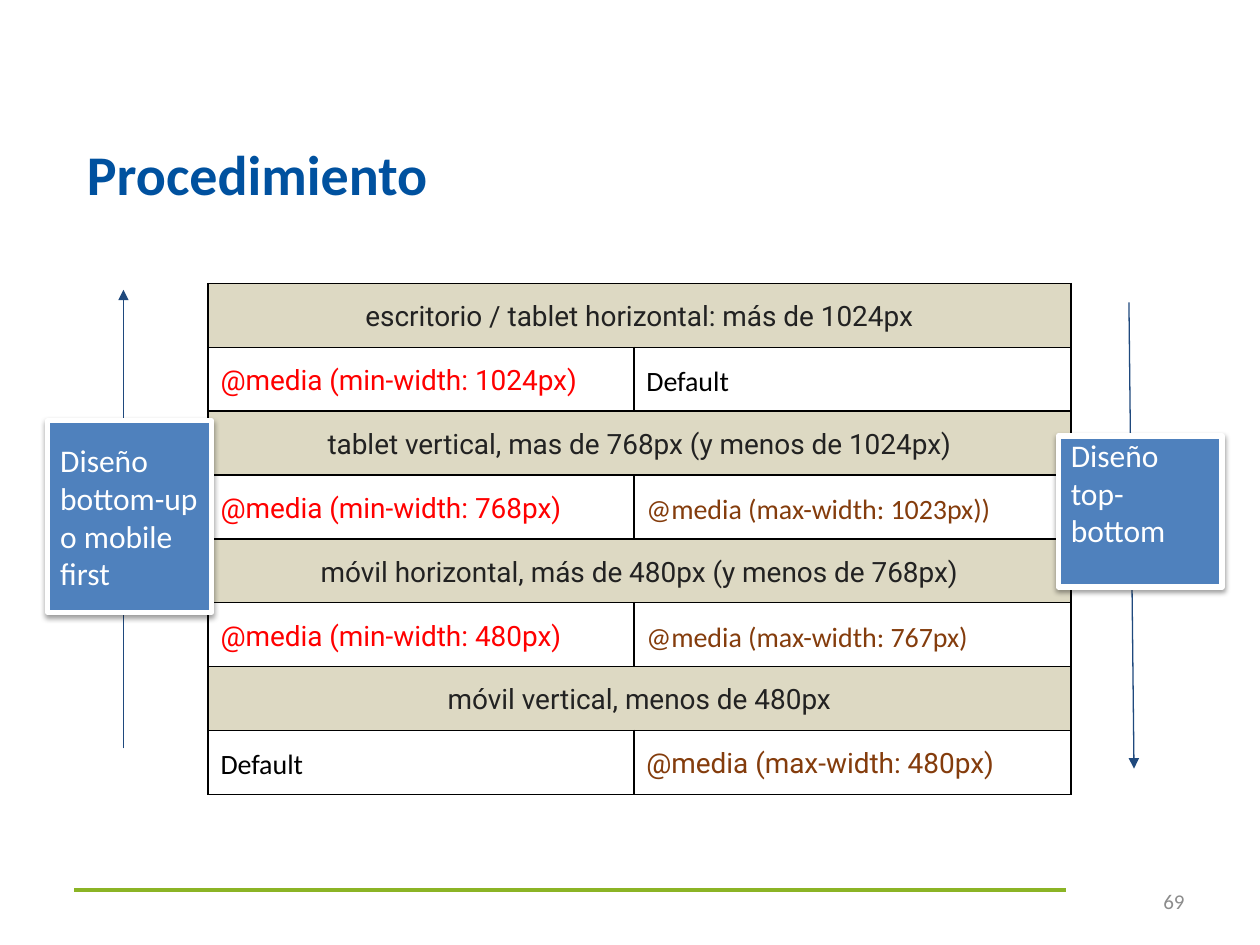
from lxml.etree import SubElement
from pptx import Presentation
from pptx.dml.color import RGBColor
from pptx.enum.shapes import MSO_CONNECTOR, MSO_SHAPE
from pptx.enum.text import MSO_ANCHOR as Anchor, PP_ALIGN as Align
from pptx.oxml.ns import qn
from pptx.util import Inches, Pt

SLIDE_W, SLIDE_H = 10, 7.5
BLUE, NAVY, GREEN = "4F81BD", "1F497D", "8BB425"
RED, BROWN, BLACK, WHITE = "FF0000", "843C0C", "000000", "FFFFFF"
HEADING, BAND = "222222", "DDD9C3"
BODY, CODE = "Calibri", "Roboto"

# Each breakpoint: heading, bottom-up rule, top-bottom rule (text, font, colour)
BREAKPOINTS = [
    ("escritorio / tablet horizontal: más de 1024px",
     ("@media (min-width: 1024px)", CODE, RED), ("Default", BODY, BLACK)),
    ("tablet vertical, mas de 768px (y menos de 1024px)",
     ("@media (min-width: 768px)", CODE, RED), ("@media (max-width: 1023px))", BODY, BROWN)),
    ("móvil horizontal, más de 480px (y menos de 768px)",
     ("@media (min-width: 480px)", CODE, RED), ("@media (max-width: 767px)", BODY, BROWN)),
    ("móvil vertical, menos de 480px",
     ("Default", BODY, BLACK), ("@media (max-width: 480px)", CODE, BROWN)),
]
TABLE_LEFT, TABLE_TOP, ROW_H = 1.65, 2.25, 0.42
COLUMNS = (3.38, 3.47)

# Each approach: label, box (left, top, width, height), bottom inset, arrow start and end
APPROACHES = [
    ("Diseño bottom-up o mobile first", (0.38, 3.34, 1.3, 1.52), 0.1, (0.98, 5.94), (0.98, 2.3)),
    ("Diseño top-bottom", (8.4, 3.46, 1.3, 1.2), 0.4, (8.96, 2.4), (9, 6.1)),
]


def rgb(color):
    return RGBColor.from_string(color)


def inches(values):
    return [Inches(value) for value in values]


def write(frame, text, size, color, font=BODY, bold=False, align=Align.LEFT, spacing=None):
    paragraph = frame.paragraphs[0]
    paragraph.alignment = align
    if spacing:
        paragraph.line_spacing = spacing
    run = paragraph.add_run()
    run.text = text
    run.font.name, run.font.size, run.font.bold = font, Pt(size), bold
    run.font.color.rgb = rgb(color)


def set_insets(frame, inset, bottom=None):
    frame.word_wrap = True
    frame.margin_left = frame.margin_right = frame.margin_top = Inches(inset)
    frame.margin_bottom = Inches(inset if bottom is None else bottom)


def add_text(box, text, size, color, inset, anchor, **style):
    frame = slide.shapes.add_textbox(*inches(box)).text_frame
    set_insets(frame, inset)
    frame.vertical_anchor = anchor
    write(frame, text, size, color, **style)


def add_line(start, end, color, width, arrow=False):
    line = slide.shapes.add_connector(MSO_CONNECTOR.STRAIGHT, *inches(start + end))
    line.line.color.rgb, line.line.width = rgb(color), Pt(width)
    if arrow:
        SubElement(line.line._get_or_add_ln(), qn("a:tailEnd"), type="triangle")
    SubElement(line._element.spPr, qn("a:effectLst"))


def add_shadow(shape):
    shape.shadow.inherit = False
    effects = shape._element.spPr.find(qn("a:effectLst"))
    shadow = SubElement(effects, qn("a:outerShdw"), blurRad=str(Pt(3.1)), dist=str(Pt(1.6)),
                        dir="5400000", rotWithShape="0")
    tint = SubElement(shadow, qn("a:srgbClr"), val=BLACK)
    SubElement(tint, qn("a:alpha"), val="38000")


def fill_cell(cell, text, font, color, align=Align.LEFT, band=None):
    cell.margin_left = cell.margin_right = cell.margin_top = cell.margin_bottom = Inches(0.1)
    if text:
        write(cell.text_frame, text, 16, color, font, align=align, spacing=1.15)
    for side in ("lnL", "lnR", "lnT", "lnB"):
        border = SubElement(cell._tc.get_or_add_tcPr(), qn("a:" + side), w=str(Pt(1)))
        SubElement(SubElement(border, qn("a:solidFill")), qn("a:srgbClr"), val=BLACK)
    if band:
        cell.fill.solid()
        cell.fill.fore_color.rgb = rgb(band)
    else:
        cell.fill.background()


prs = Presentation()
prs.slide_width, prs.slide_height = Inches(SLIDE_W), Inches(SLIDE_H)
slide = prs.slides.add_slide(prs.slide_layouts[6])

# Footer and title
add_text((7.17, 6.95, 2.33, 0.4), "69", 12, "8C8C8C", 0.1, Anchor.MIDDLE, align=Align.RIGHT)
add_line((0.59, 7.06), (8.46, 7.06), GREEN, 2.25)
add_text((0.63, 1.05, 8.57, 0.59), "Procedimiento", 32, "00519F", 0.06, Anchor.TOP, bold=True)

# Breakpoint table: a merged heading row above each pair of rules
row_count = 2 * len(BREAKPOINTS)
table = slide.shapes.add_table(
    row_count, len(COLUMNS),
    *inches((TABLE_LEFT, TABLE_TOP, sum(COLUMNS), row_count * ROW_H))).table
table.first_row = table.horz_banding = False
for column, width in zip(table.columns, COLUMNS):
    column.width = Inches(width)
for row in table.rows:
    row.height = Inches(ROW_H)
for index, (heading, *rules) in enumerate(BREAKPOINTS):
    top = 2 * index
    table.cell(top, 0).merge(table.cell(top, 1))
    for col, rule in enumerate(rules):
        fill_cell(table.cell(top, col), "" if col else heading, CODE, HEADING, Align.CENTER, BAND)
        fill_cell(table.cell(top + 1, col), *rule)

# Arrows behind the approach boxes
for _, _, _, start, end in APPROACHES:
    add_line(start, end, NAVY, 0.75, arrow=True)

# Approach boxes
for label, box, bottom, _, _ in APPROACHES:
    approach = slide.shapes.add_shape(MSO_SHAPE.RECTANGLE, *inches(box))
    approach.fill.solid()
    approach.fill.fore_color.rgb = rgb(BLUE)
    approach.line.color.rgb, approach.line.width = rgb(WHITE), Pt(3)
    add_shadow(approach)
    set_insets(approach.text_frame, 0.1, bottom)
    approach.text_frame.vertical_anchor = Anchor.MIDDLE
    write(approach.text_frame, label, 18, WHITE)

prs.save("out.pptx")
